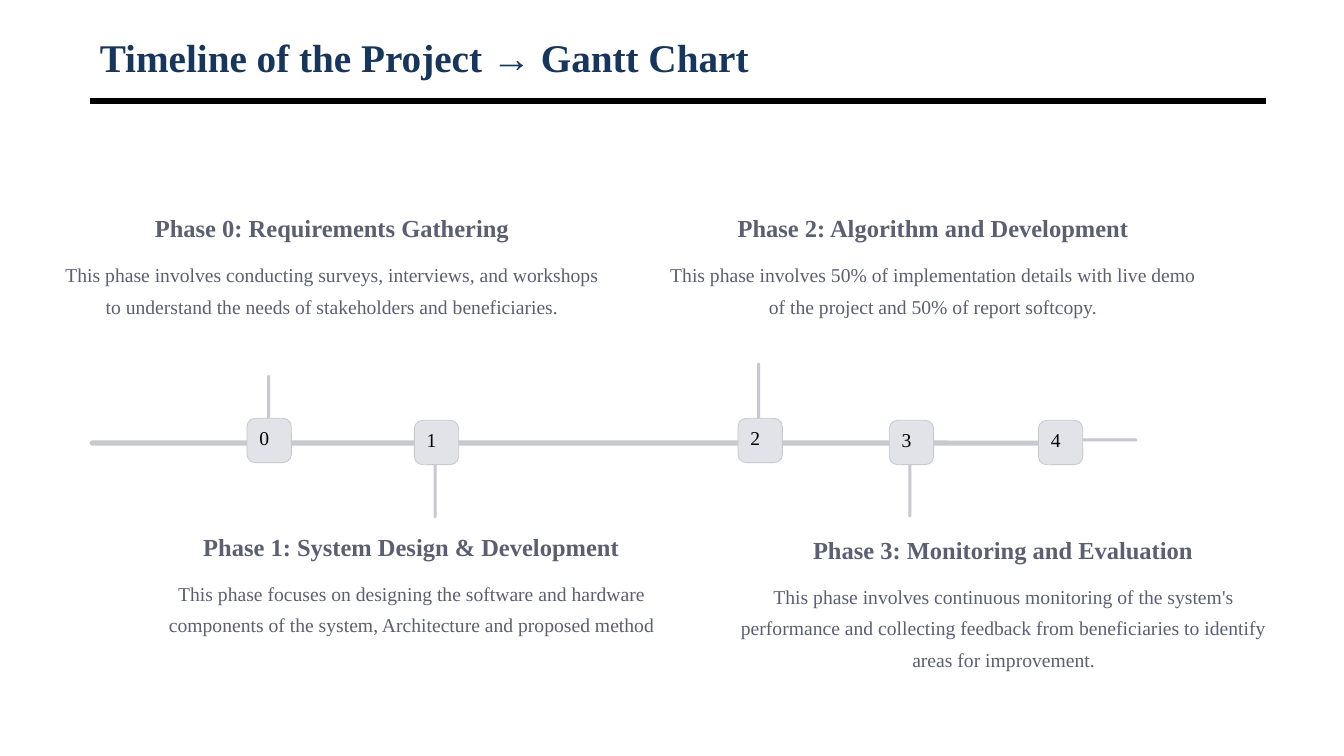
from pptx import Presentation
from pptx.dml.color import RGBColor
from pptx.enum.shapes import MSO_CONNECTOR, MSO_SHAPE
from pptx.enum.text import MSO_ANCHOR, MSO_AUTO_SIZE, PP_ALIGN
from pptx.oxml.ns import qn
from pptx.util import Pt
from lxml import etree

PX = 9144  # 100 px to the inch
FONT = "Times New Roman"
ROUNDED = MSO_SHAPE.ROUNDED_RECTANGLE
STRAIGHT = MSO_CONNECTOR.STRAIGHT
TOP, MIDDLE = MSO_ANCHOR.TOP, MSO_ANCHOR.MIDDLE
NO_AUTOFIT = MSO_AUTO_SIZE.NONE
LEFT, CENTER = PP_ALIGN.LEFT, PP_ALIGN.CENTER
COLORS = {"title": "17365D", "text": "5B5F71", "rule": "000000",
          "line": "C8C9CF", "badge": "E2E3E9", "number": "000000"}
HEADING = {"size": Pt(17.5), "bold": True}
BODY = {"size": Pt(14), "bold": False}


def write(box, text, color, align, font, spacing=None):
    para = box.text_frame.paragraphs[0]
    para.alignment = align
    if spacing:
        para.line_spacing = Pt(spacing)
    span = para.add_run()
    span.text = text
    span.font.name = FONT
    span.font.color.rgb = RGBColor.from_string(COLORS[color])
    for name, value in font.items():
        setattr(span.font, name, value)


def add_rounded(left, top, width, height, color, roundness=0.5):
    shape = page.shapes.add_shape(ROUNDED, left * PX, top * PX, width * PX, height * PX)
    shape.adjustments[0] = roundness
    shape.shadow.inherit = False
    shape.fill.solid()
    shape.fill.fore_color.rgb = RGBColor.from_string(COLORS[color])
    shape.line.fill.background()
    return shape


deck = Presentation()
deck.slide_width, deck.slide_height = 1333 * PX, 750 * PX
page = deck.slides.add_slide(deck.slide_layouts[5])

# Title and the rule below it
title = page.shapes.title
title.left, title.top, title.width, title.height = 89 * PX, 30 * PX, 1167 * PX, 53 * PX
title.text_frame.auto_size = NO_AUTOFIT
title.text_frame.vertical_anchor = MIDDLE
write(title, "Timeline of the Project → Gantt Chart", "title", LEFT,
      {"size": Pt(28), "bold": True})

rule = page.shapes.add_connector(STRAIGHT, 89 * PX, 100 * PX, 1256 * PX, 100 * PX)
rule.line.color.rgb = RGBColor.from_string(COLORS["rule"])
rule.line.width = Pt(4.5)
etree.SubElement(rule._element.spPr, qn("a:effectLst"))

# Stems, then the timeline bar over them
STEMS = [(265, 372, 3, 69), (430, 445, 3, 69), (751, 360, 3, 69),
         (901, 444, 3, 69), (1059, 435, 69, 3)]
for stem in STEMS:
    add_rounded(*stem, "line")
add_rounded(89, 437, 957, 5, "line")

# Numbered badges
BADGES = [(245, 415), (411, 417), (732, 415), (882, 417), (1030, 417)]
for number, (left, top) in enumerate(BADGES):
    badge = add_rounded(left, top, 44, 44, "badge", 0.187)
    badge.line.color.rgb = RGBColor.from_string(COLORS["line"])
    badge.line.width = Pt(0.6)
    badge.text_frame.vertical_anchor = TOP
    write(badge, str(number), "number", LEFT, BODY)

# Phases: left and top of the block, heading width, heading, description
PHASES = [
    (63, 210, 383, "Phase 0: Requirements Gathering",
     "This phase involves conducting surveys, interviews, and workshops "
     "to understand the needs of stakeholders and beneficiaries."),
    (142, 526, 462, "Phase 1: System Design & Development",
     "This phase focuses on designing the software and hardware "
     "components of the system, Architecture and proposed method"),
    (659, 210, 399, "Phase 2: Algorithm and Development",
     "This phase involves 50% of implementation details with live demo "
     "of the project and 50% of report softcopy."),
    (729, 529, 406, "Phase 3: Monitoring and Evaluation",
     "This phase involves continuous monitoring of the system's performance and "
     "collecting feedback from beneficiaries to identify areas for improvement."),
]
BLOCK_WIDTH = 533
for left, top, heading_width, heading, description in PHASES:
    heading_left = left + (BLOCK_WIDTH - heading_width) // 2
    parts = [(heading_left, top, heading_width, 31, heading, HEADING, 22, False),
             (left, top + 43, BLOCK_WIDTH, 95, description, BODY, 22.5, True)]
    for x, y, width, height, text, font, spacing, wrap in parts:
        box = page.shapes.add_textbox(x * PX, y * PX, width * PX, height * PX)
        frame = box.text_frame
        frame.word_wrap = wrap
        for side in ("left", "top", "right", "bottom"):
            setattr(frame, f"margin_{side}", 0)
        write(box, text, "text", CENTER, font, spacing)

deck.save("out.pptx")
